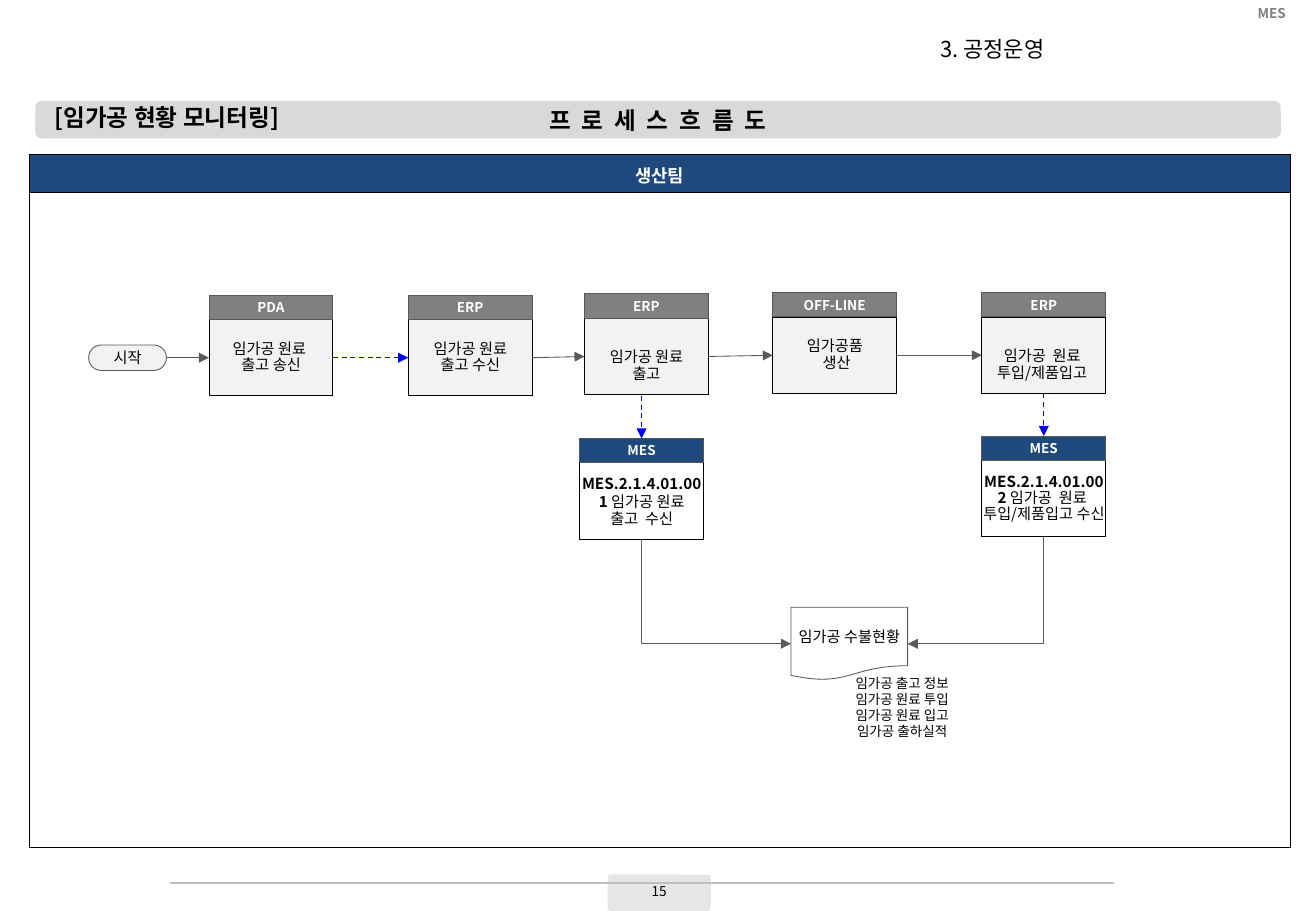
from lxml.etree import SubElement as Sub
from pptx import Presentation
from pptx.dml.color import RGBColor as RGB
from pptx.enum.dml import MSO_LINE_DASH_STYLE as Dash
from pptx.enum.shapes import MSO_CONNECTOR as Conn, MSO_SHAPE as Kind
from pptx.enum.text import MSO_ANCHOR as Anchor, PP_ALIGN as Align
from pptx.oxml.ns import qn
from pptx.util import Pt

PX = 9144  # 100 px to the inch
FONT = "Noto Sans CJK KR"
HUES = {
    "black": "000000", "white": "FFFFFF", "navy": "1F497D", "blue": "0000FF",
    "gray": "808080", "edge": "595959", "wire": "5A5A5A", "pale": "F2F2F2",
    "bar": "D9D9D9", "page": "E6E6E6", "rule": "BFBFBF",
}
TOP, LEFT, BOTTOM, RIGHT = range(4)


def hue(name):
    return RGB.from_string(HUES[name])


class Board:
    def __init__(self, deck):
        self.slide = deck.slides.add_slide(deck.slide_layouts[5])
        self.shapes = self.slide.shapes

    def text(self, frame, paras, size, color="black", bold=False, align=Align.CENTER,
             anchor=Anchor.MIDDLE, pad=(10, 5, 10, 5), wrap=True, gaps=()):
        """Each paragraph is a string or a list of (text, bold) runs."""
        frame.word_wrap = wrap
        frame.vertical_anchor = anchor
        (frame.margin_left, frame.margin_top,
         frame.margin_right, frame.margin_bottom) = [n * PX for n in pad]
        for i, runs in enumerate(paras):
            para = frame.paragraphs[0] if i == 0 else frame.add_paragraph()
            para.alignment = align
            if gaps:
                para.line_spacing = gaps[min(i, len(gaps) - 1)]
            for words, heavy in [(runs, bold)] if isinstance(runs, str) else runs:
                self.run(para, words, size, color, heavy)

    def run(self, para, words, size, color, bold):
        run = para.add_run()
        run.text = words
        font = run.font
        font.size, font.bold, font.name = Pt(size), bold, FONT
        font.color.rgb = hue(color)
        Sub(font._element, qn("a:ea")).set("typeface", FONT)

    def title(self, box, words, size):
        shape = self.shapes.title
        shape.left, shape.top, shape.width, shape.height = [n * PX for n in box]
        self.text(shape.text_frame, [words], size, align=Align.LEFT)

    def label(self, box, paras, size, **style):
        shape = self.shapes.add_textbox(*[n * PX for n in box])
        self.text(shape.text_frame, paras, size, **style)

    def shape(self, kind, box, fill, line=None, paras=(), size=9, **style):
        shape = self.shapes.add_shape(kind, *[n * PX for n in box])
        shape.shadow.inherit = False
        shape.fill.solid()
        shape.fill.fore_color.rgb = hue(fill)
        if line:
            shape.line.color.rgb = hue(line)
            shape.line.width = Pt(0.5)
        else:
            shape.line.fill.background()
        self.text(shape.text_frame, paras, size, **style)
        return shape

    def node(self, x, y, head, paras, tint="gray", fill="pale", drop=0, gaps=(0.9,)):
        body = self.shape(Kind.RECTANGLE, (x, y + 20, 102, 63), fill, "black", paras,
                          pad=(0, 5 + drop, 0, 5), gaps=gaps)
        cap = self.shape(Kind.RECTANGLE, (x, y, 102, 20), tint, "edge", [head], 8,
                         color="white", bold=True, wrap=False)
        return cap, body

    def line(self, start=(0, 0), end=(0, 0), color="wire", width=0.5, kind=Conn.STRAIGHT):
        wire = self.shapes.add_connector(kind, *[n * PX for n in start + end])
        wire.line.color.rgb = hue(color)
        wire.line.width = Pt(width)
        Sub(wire._element.spPr, qn("a:effectLst"))
        return wire

    def arrow(self, src, dst, dash=False, kind=Conn.STRAIGHT):
        """src is a (shape, side) pair or an (x, y) point; dst is a pair."""
        free = isinstance(src[0], int)
        wire = self.line(src if free else (0, 0), kind=kind,
                         color="blue" if dash else "wire", width=0.75 if dash else 0.5)
        if not free:
            wire.begin_connect(*src)
        wire.end_connect(*dst)
        if dash:
            wire.line.dash_style = Dash.DASH
        Sub(wire.line._get_or_add_ln(), qn("a:tailEnd")).set("type", "triangle")
        return wire

    def elbow(self, src, dst):
        """One bend: down first, then sideways."""
        wire = self.arrow(src, dst, kind=Conn.ELBOW)
        x, y, wide, high = wire.left, wire.top, wire.width, wire.height
        east = wire.end_x > wire.begin_x
        wire.left, wire.top = x + (wide - high) // 2, y + (high - wide) // 2
        wire.width, wire.height = high, wide
        props = wire._element.spPr
        props.find(qn("a:prstGeom")).set("prst", "bentConnector2")
        frame = props.find(qn("a:xfrm"))
        frame.set("rot", str((270 if east else 90) * 60000))
        frame.set("flipH", "1" if east else "0")
        frame.set("flipV", "0")

    def table(self, box, rows, head):
        table = self.shapes.add_table(len(rows), 1, *[n * PX for n in box]).table
        for i, high in enumerate(rows):
            table.rows[i].height = high * PX
            cell = table.cell(i, 0)
            props = cell._tc.get_or_add_tcPr()
            for side in ("a:lnL", "a:lnR", "a:lnT", "a:lnB"):
                edge = Sub(props, qn(side), w=str(Pt(0.5)))
                Sub(Sub(edge, qn("a:solidFill")), qn("a:srgbClr"), val=HUES["black"])
            cell.fill.solid()
            cell.fill.fore_color.rgb = hue("white" if i else "navy")
        cell = table.cell(0, 0)
        self.text(cell.text_frame, [head], 10.5, "white", True, gaps=(1.1,))
        cell.text_frame.paragraphs[0].space_before = Pt(3)
        cell.vertical_anchor = Anchor.MIDDLE
        cell.margin_left = cell.margin_right = 5 * PX
        cell.margin_top = cell.margin_bottom = 0


def main():
    deck = Presentation()
    deck.slide_width, deck.slide_height = 1083 * PX, 750 * PX
    board = Board(deck)

    # Page frame
    board.label((749, 4, 319, 13), ["MES"], 8, color="gray", bold=True,
                align=Align.RIGHT, pad=(10, 0, 10, 0))
    page = board.shape(Kind.ROUNDED_RECTANGLE, (500, 720, 85, 30), "page")
    page.adjustments[0] = 0.09
    board.label((500, 722, 85, 24), ["15"], 8, anchor=Anchor.TOP)
    board.line((917, 727), (140, 727), "rule", 0.75)

    # Headings
    board.title((764, 19, 319, 42), "3. 공정운영", 13)
    board.shape(Kind.ROUNDED_RECTANGLE, (29, 83, 1025, 31), "bar", None,
                ["프  로  세  스  흐  름  도"], 14, bold=True)
    board.label((35, 80, 225, 34), ["[임가공 현황 모니터링]"], 14, bold=True,
                align=Align.LEFT, anchor=Anchor.TOP, wrap=False)

    # Team lane
    board.table((24, 127, 1038, 571), (31, 540), "생산팀")

    # Main row
    start = board.shape(Kind.FLOWCHART_TERMINATOR, (73, 284, 64, 21), "pale", "edge",
                        ["시작"], wrap=False)
    steps = [
        (172, 243, "PDA", ["임가공 원료 ", "출고 송신"], 0),
        (336, 243, "ERP", ["임가공 원료", "출고 수신"], 0),
        (481, 242, "ERP", ["임가공 원료", "출고"], 16),
        (636, 241, "OFF-LINE", ["임가공품", " 생산"], 0),
        (808, 241, "ERP", ["임가공  원료 ", "투입/제품입고 "], 16),
    ]
    row = [start]
    for x, y, head, paras, drop in steps:
        row.append(board.node(x, y, head, paras, drop=drop)[1])
    for i, (src, dst) in enumerate(zip(row, row[1:])):
        board.arrow((src, RIGHT), (dst, LEFT), dash=i == 1)

    # MES receipts
    issue = board.node(477, 361, "MES", [
        [("MES.2.1.4.01.001 ", True), ("임가공 원료", False)], "출고  수신",
    ], "navy", "white", gaps=(1.0, 0.9))
    entry = board.node(808, 359, "MES", [
        [("MES.2.1.4.01.002 ", True), ("임가공  원료 ", False)], "투입/제품입고 수신",
    ], "navy", "white")
    board.arrow((528, 326), (issue[0], TOP), dash=True)
    board.arrow((row[-1], BOTTOM), (entry[0], TOP), dash=True)

    # Stock report
    report = board.shape(Kind.FLOWCHART_DOCUMENT, (651, 500, 96, 60), "white", "edge",
                         ["임가공 수불현황"], pad=(0, 5, 0, 5))
    board.label((678, 550, 129, 64), ["임가공 출고 정보", "임가공 원료 투입",
                                      "임가공 원료 입고", "임가공 출하실적"], 8)
    board.elbow((issue[1], BOTTOM), (report, LEFT))
    board.elbow((entry[1], BOTTOM), (report, RIGHT))

    deck.save("out.pptx")


if __name__ == "__main__":
    main()
